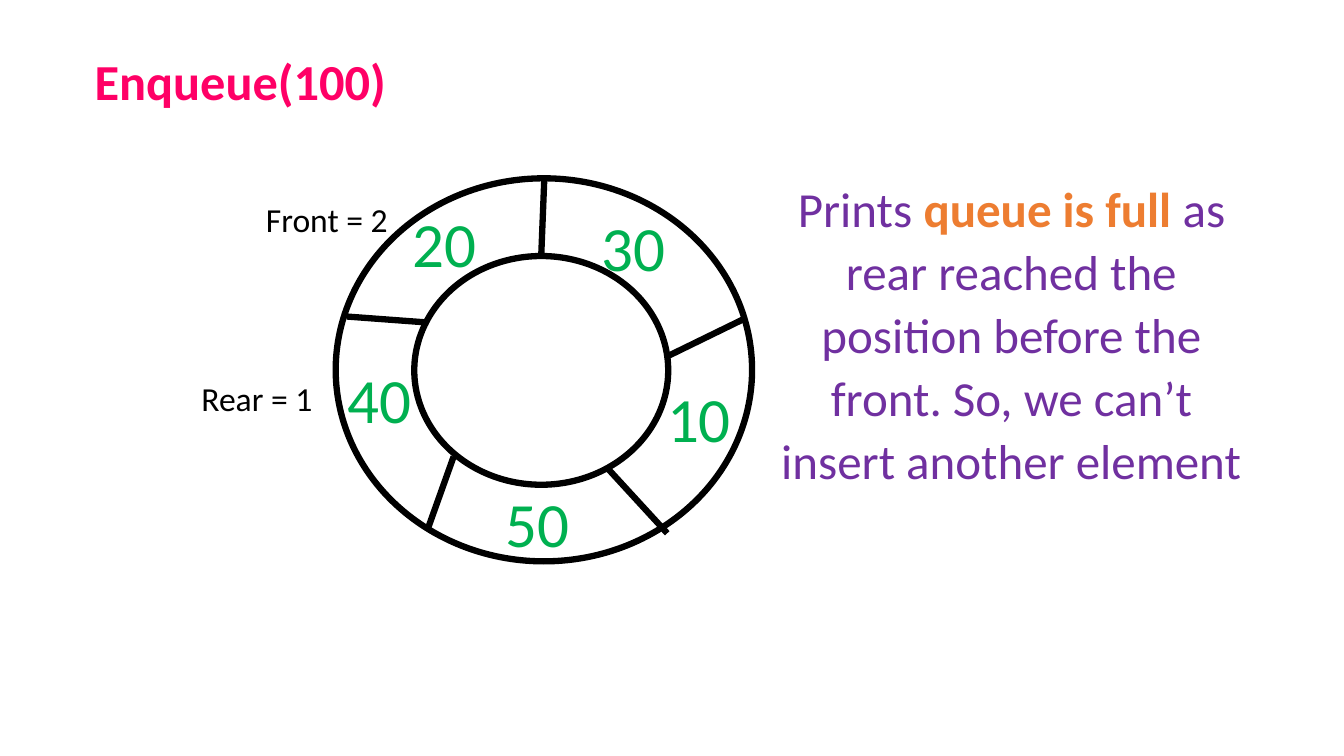
from lxml import etree
from pptx import Presentation
from pptx.dml.color import RGBColor
from pptx.enum.shapes import MSO_CONNECTOR, MSO_SHAPE
from pptx.enum.text import PP_ALIGN
from pptx.oxml.ns import qn
from pptx.util import Pt

OVAL = MSO_SHAPE.OVAL
STRAIGHT = MSO_CONNECTOR.STRAIGHT
LEFT, CENTER = PP_ALIGN.LEFT, PP_ALIGN.CENTER

PINK = RGBColor(0xFF, 0x00, 0x66)
GREEN = RGBColor(0x00, 0xB0, 0x50)
PURPLE = RGBColor(0x70, 0x30, 0xA0)
ORANGE = RGBColor(0xED, 0x7D, 0x31)
BLACK = RGBColor(0x00, 0x00, 0x00)
WHITE = RGBColor(0xFF, 0xFF, 0xFF)
RING_WIDTH = Pt(4.5)

prs = Presentation()
prs.slide_width, prs.slide_height = Pt(960), Pt(540)
slide = prs.slides.add_slide(prs.slide_layouts[6])


def add_text(text, left, top, width, height, *, size, color, bold=False,
             align=LEFT, spacing=None, after=None, accent=None):
    """Add a text box; the part of text equal to accent is bold orange."""
    frame = slide.shapes.add_textbox(Pt(left), Pt(top), Pt(width), Pt(height)).text_frame
    frame.word_wrap = True
    paragraph = frame.paragraphs[0]
    paragraph.alignment = align
    paragraph.line_spacing = spacing
    paragraph.space_after = after
    before, match, rest = text.partition(accent) if accent else (text, "", "")
    for part, part_color, part_bold in ((before, color, bold), (match, ORANGE, True),
                                        (rest, color, bold)):
        if part:
            run = paragraph.add_run()
            run.text = part
            run.font.name = "Calibri"
            run.font.size = Pt(size)
            run.font.bold = part_bold
            run.font.color.rgb = part_color


add_text("Enqueue(100)", 60.5, 32.4, 612.7, 51.1, size=36, color=PINK, bold=True)

# Circular queue: outer and inner rim
for left, top, width, height in ((239.8, 127.4, 297.4, 273.6), (295.9, 182.9, 181.4, 163.4)):
    rim = slide.shapes.add_shape(OVAL, Pt(left), Pt(top), Pt(width), Pt(height))
    rim.shadow.inherit = False
    rim.fill.solid()
    rim.fill.fore_color.rgb = WHITE
    rim.line.color.rgb = BLACK
    rim.line.width = RING_WIDTH

# Dividers between the five cells
for ends in ((388.8, 127.4, 386.6, 182.9), (532.1, 227.5, 477.4, 254.2),
             (434.9, 335.5, 476.6, 380.9), (306, 230.4, 247.7, 226.1),
             (324, 326.2, 306, 376.6)):
    divider = slide.shapes.add_connector(STRAIGHT, *map(Pt, ends))
    divider.line.color.rgb = BLACK
    divider.line.width = RING_WIDTH
    etree.SubElement(divider.element.spPr, qn("a:effectLst"))

for value, left, top in (("20", 287.3, 142.6), ("30", 422.6, 145.4), ("10", 469.4, 267.8),
                         ("50", 354.2, 342.7), ("40", 241.2, 254.2)):
    add_text(value, left, top, 71.3, 61.9, size=45, color=GREEN)

for pointer, left, top in (("Front = 2", 182.9, 136.8), ("Rear = 1", 136.8, 264.2)):
    add_text(pointer, left, top, 480.2, 36.7, size=24, color=BLACK, spacing=1.07, after=Pt(8))

add_text("Prints queue is full as rear reached the position before the front. "
         "So, we can’t insert another element",
         542.9, 121, 359.3, 231.8, size=35, color=PURPLE, align=CENTER,
         spacing=1.07, after=Pt(8), accent="queue is full ")

prs.save("out.pptx")
